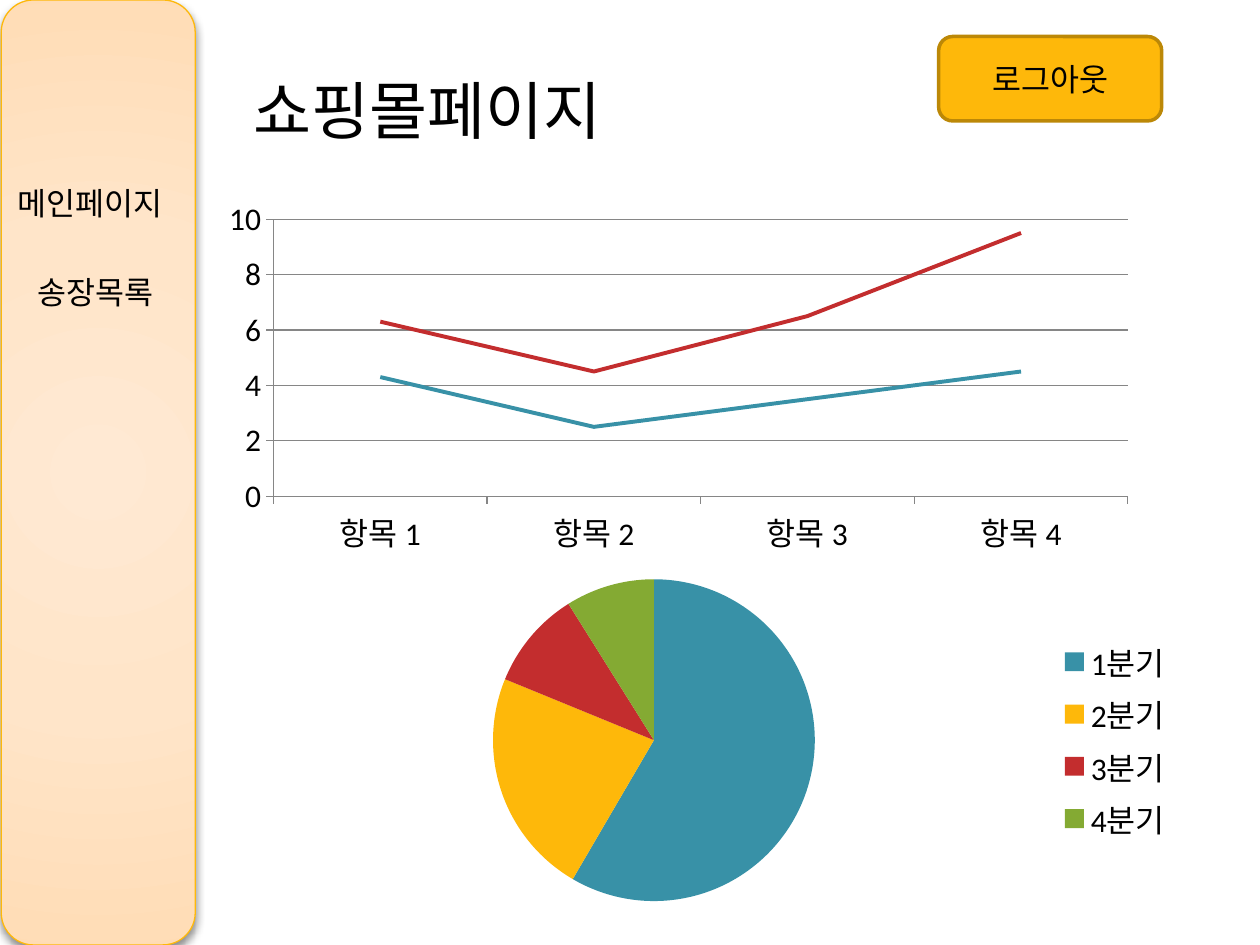
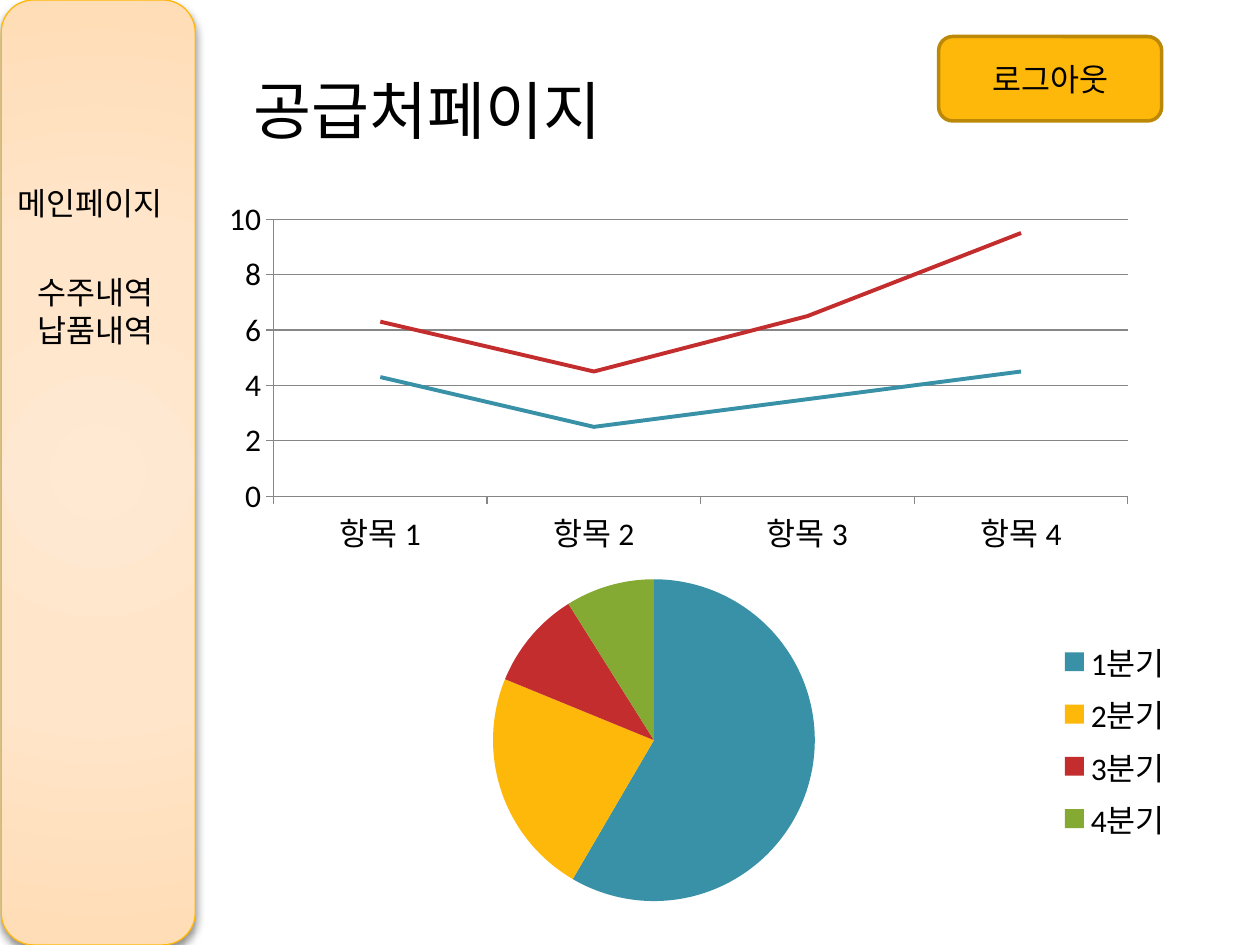
from lxml.etree import SubElement
from pptx import Presentation
from pptx.chart.data import CategoryChartData
from pptx.dml.color import RGBColor
from pptx.enum.chart import XL_CHART_TYPE, XL_LEGEND_POSITION, XL_TICK_MARK
from pptx.enum.shapes import MSO_SHAPE
from pptx.enum.text import MSO_ANCHOR, MSO_AUTO_SIZE, PP_ALIGN
from pptx.oxml import parse_xml
from pptx.oxml.ns import nsdecls, qn
from pptx.util import Inches, Pt

FONT = "Calibri"
BLACK, GRAY = "000000", "868686"
TEAL, AMBER, RED, GREEN = "3891A7", "FEB80A", "C32D2E", "84AA33"
AMBER_DARK = "BC8807"
SIDEBAR_STOPS = [(0, "FFE9D3"), (50, "FFE5C9"), (97, "FFDDB7"), (100, "FFDBB2")]
PAGES = [
    ("쇼핑몰페이지", ["송장목록"]),
    ("공급처페이지", ["수주내역", "납품내역"]),
]


def rgb(color):
    """Turn a hex string into a colour."""
    return RGBColor.from_string(color)


def box(left, top, width, height):
    """Return a position and size given in inches."""
    return Inches(left), Inches(top), Inches(width), Inches(height)


def write(tf, *lines, size=18, color=BLACK, align=PP_ALIGN.LEFT, anchor=MSO_ANCHOR.TOP):
    """Write one paragraph per line into a text frame."""
    tf.word_wrap = True
    tf.vertical_anchor = anchor
    for i, line in enumerate(lines):
        p = tf.add_paragraph() if i else tf.paragraphs[0]
        p.alignment = align
        r = p.add_run()
        r.text = line
        r.font.name, r.font.size = FONT, Pt(size)
        r.font.color.rgb = rgb(color)


def add_round_rect(slide, place, line, width):
    """Add a rounded rectangle with an outline and no shadow."""
    sp = slide.shapes.add_shape(MSO_SHAPE.ROUNDED_RECTANGLE, *place)
    sp.shadow.inherit = False
    sp.line.color.rgb = rgb(line)
    sp.line.width = Pt(width)
    return sp


def add_button(slide, text):
    """Add the amber button at the top right."""
    sp = add_round_rect(slide, box(7.45, 0.29, 1.77, 0.67), AMBER_DARK, 2)
    sp.fill.solid()
    sp.fill.fore_color.rgb = rgb(AMBER)
    write(sp.text_frame, text, align=PP_ALIGN.CENTER, anchor=MSO_ANCHOR.MIDDLE)


def add_sidebar(slide):
    """Add the side band with a radial gradient and a soft shadow."""
    sp = add_round_rect(slide, box(0.01, 0, 1.54, 7.5), AMBER, 0.75)
    spPr = sp._element.spPr
    stops = "".join(
        f'<a:gs pos="{pos * 1000}"><a:srgbClr val="{color}"/></a:gs>'
        for pos, color in SIDEBAR_STOPS
    )
    spPr.find(qn("a:prstGeom")).addnext(parse_xml(
        f'<a:gradFill {nsdecls("a")} rotWithShape="1"><a:gsLst>{stops}</a:gsLst>'
        '<a:path path="circle"><a:fillToRect l="50000" t="50000" r="50000" b="50000"/>'
        "</a:path></a:gradFill>"
    ))
    shadow = SubElement(spPr.find(qn("a:effectLst")), qn("a:outerShdw"),
                        blurRad=str(Pt(5)), dist=str(Pt(2)), dir="5400000", rotWithShape="0")
    color = SubElement(shadow, qn("a:srgbClr"), val=BLACK)
    SubElement(color, qn("a:alpha"), val="43000")


def add_menu(slide, place, *items):
    """Add a group of menu entries on the side band."""
    tf = slide.shapes.add_textbox(*place).text_frame
    write(tf, *items)


def add_chart(slide, kind, place, categories, *series):
    """Add a chart with the shared font and return it."""
    data = CategoryChartData()
    data.categories = categories
    for i, values in enumerate(series, 1):
        data.add_series(f"Series {i}", values)
    chart = slide.shapes.add_chart(kind, *place, data).chart
    chart.has_title = False
    chart.has_legend = False
    chart.font.name, chart.font.size = FONT, Pt(18)
    chart.font.color.rgb = rgb(BLACK)
    return chart


def style_line(line, color, width=0.75):
    """Set the colour and width of a chart line."""
    line.color.rgb = rgb(color)
    line.width = Pt(width)


def add_line_chart(slide):
    """Add the stacked line chart."""
    chart = add_chart(slide, XL_CHART_TYPE.LINE_STACKED, box(1.67, 1.53, 7.43, 2.93),
                      [f"항목 {n}" for n in range(1, 5)],
                      (4.3, 2.5, 3.5, 4.5), (2, 2, 3, 5))
    for axis in (chart.category_axis, chart.value_axis):
        axis.major_tick_mark = XL_TICK_MARK.OUTSIDE
        axis.minor_tick_mark = XL_TICK_MARK.NONE
        style_line(axis.format.line, GRAY)
    axis = chart.value_axis
    axis.minimum_scale, axis.maximum_scale, axis.major_unit = 0, 10, 2
    style_line(axis.major_gridlines.format.line, GRAY)
    chart.plots[0].vary_by_categories = False
    for series, color in zip(chart.plots[0].series, (TEAL, RED)):
        series.smooth = False
        style_line(series.format.line, color, 2.25)


def add_pie_chart(slide):
    """Add the pie chart of the four quarters."""
    chart = add_chart(slide, XL_CHART_TYPE.PIE, box(2.01, 4.46, 7.4, 2.83),
                      [f"{n}분기" for n in range(1, 5)], (59, 23, 10, 9))
    chart.has_legend = True
    chart.legend.position = XL_LEGEND_POSITION.RIGHT
    chart.legend.include_in_layout = False
    chart.plots[0].vary_by_categories = True
    for i, color in enumerate((TEAL, AMBER, RED, GREEN)):
        fill = chart.plots[0].series[0].points[i].format.fill
        fill.solid()
        fill.fore_color.rgb = rgb(color)


def add_page(prs, title, items):
    """Add one page with its title, menu, button and charts."""
    slide = prs.slides.add_slide(prs.slide_layouts[5])
    sp = slide.shapes.title
    sp.left, sp.top, sp.width, sp.height = box(1.91, 0.52, 5.06, 0.71)
    sp.text_frame.auto_size = MSO_AUTO_SIZE.NONE
    write(sp.text_frame, title, size=36)
    add_button(slide, "로그아웃")
    add_line_chart(slide)
    add_pie_chart(slide)
    add_sidebar(slide)
    add_menu(slide, box(0.04, 1.41, 1.47, 0.4), "메인페이지")
    add_menu(slide, box(0.2, 2.12, 1.32, 0.71), *items)


def main():
    """Build the pages and save the file."""
    prs = Presentation()
    prs.slide_width, prs.slide_height = Inches(10), Inches(7.5)
    for title, items in PAGES:
        add_page(prs, title, items)
    prs.save("out.pptx")


if __name__ == "__main__":
    main()
